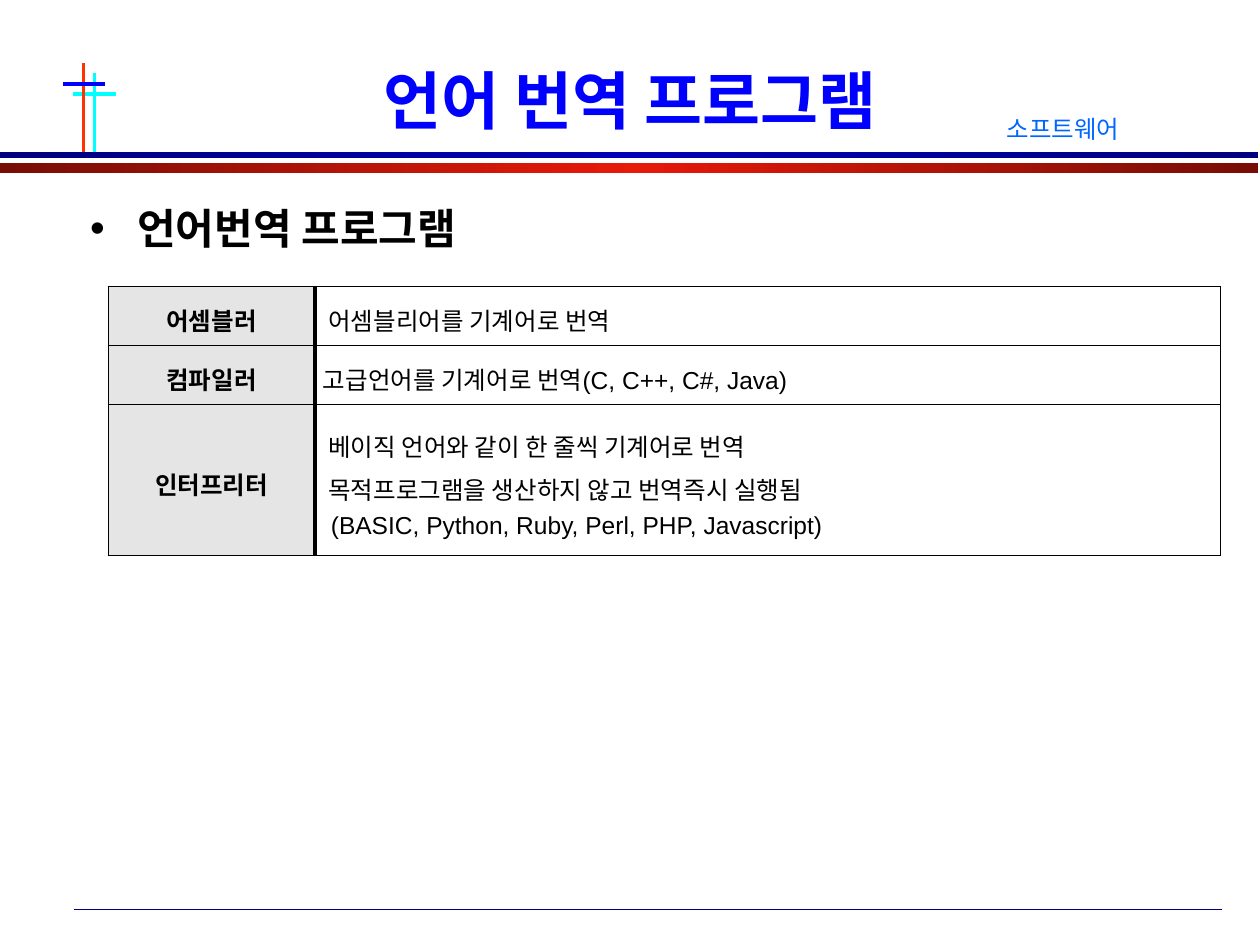
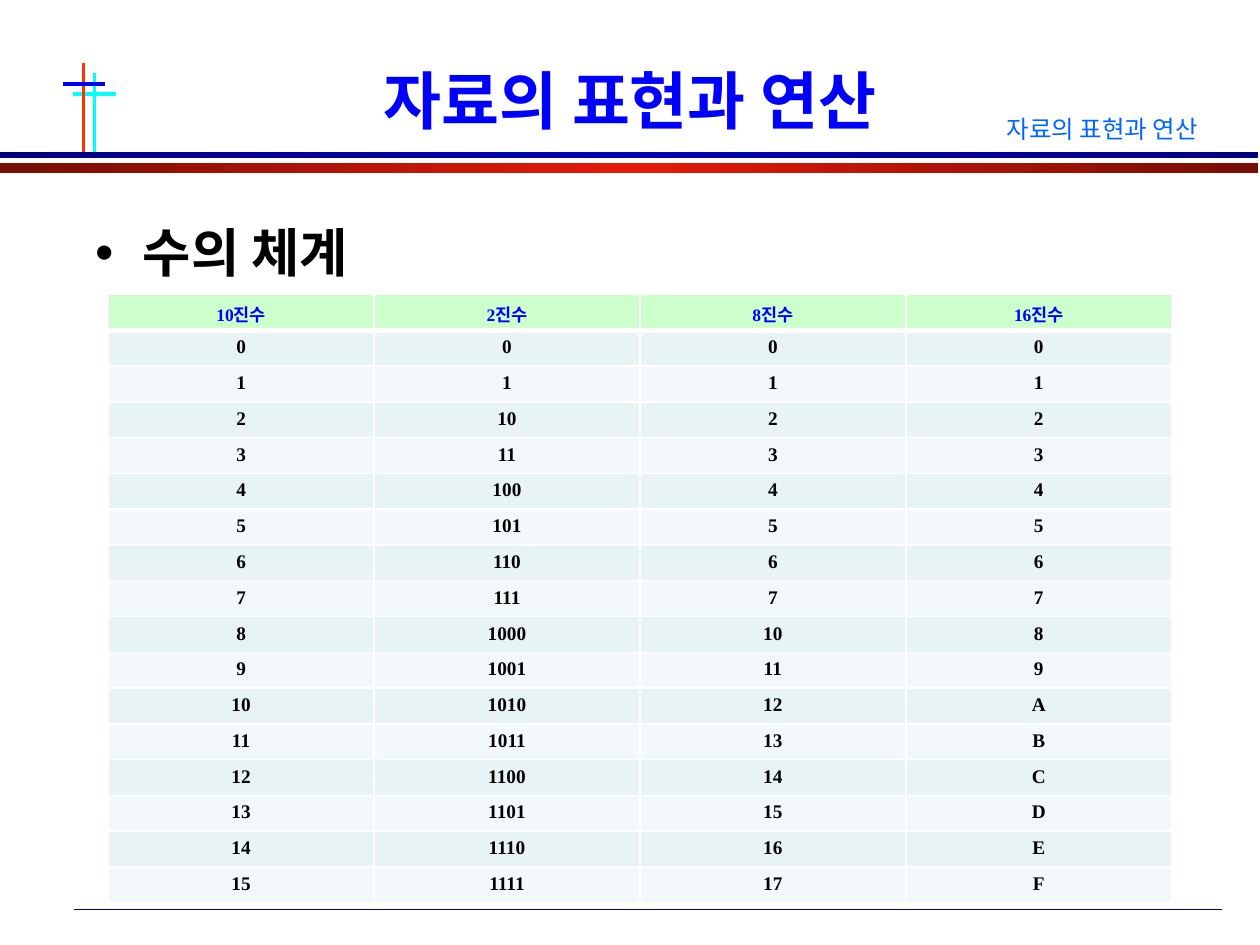
"""Build two lecture slides on language translators and number systems."""
from copy import deepcopy
from dataclasses import dataclass

from lxml.etree import SubElement
from pptx import Presentation
from pptx.dml.color import RGBColor
from pptx.enum.shapes import MSO_CONNECTOR, MSO_SHAPE
from pptx.enum.text import MSO_ANCHOR, MSO_AUTO_SIZE, PP_ALIGN
from pptx.oxml.ns import qn
from pptx.util import Cm, Pt

HUES = {
    "blue": "0000FF", "cyan": "00FFFF", "orange": "FF3300", "navy": "000080",
    "sky": "0066FF", "black": "000000", "white": "FFFFFF", "gray": "E5E5E5",
    "mint": "CCFFCC", "teal": "E7F3F4", "pale": "F3F9FA",
    "dark blue": "00007F", "mid blue": "0000B6",
    "dark red": "770D05", "mid red": "E71909",
}
SERIF, SANS, HANGUL = "Times New Roman", "Arial", "Noto Sans CJK KR"


@dataclass(frozen=True)
class Rule:
    x1: float
    y1: float
    x2: float
    y2: float
    hue: str
    width: float


@dataclass(frozen=True)
class Band:
    top: float
    height: float
    edge: str
    middle: str


@dataclass(frozen=True)
class Style:
    size: float
    font: str
    hue: str
    bold: bool = False


@dataclass(frozen=True)
class Border:
    hue: str
    left: float
    right: float
    top: float
    bottom: float


@dataclass(frozen=True)
class Box:
    left: float
    top: float
    width: float
    height: float

    def place(self) -> tuple:
        """Return the four lengths of the box."""
        return Cm(self.left), Cm(self.top), Cm(self.width), Cm(self.height)


RULES = [
    Rule(1.5, 18.34, 24.64, 18.34, "navy", 0.75),
    Rule(1.47, 1.9, 2.34, 1.9, "cyan", 2),
    Rule(1.9, 1.47, 1.9, 3.18, "cyan", 1.75),
    Rule(1.69, 1.27, 1.69, 3.12, "orange", 1.75),
    Rule(1.27, 1.69, 2.11, 1.69, "blue", 2),
]
BANDS = [
    Band(3.07, 0.12, "dark blue", "mid blue"),
    Band(3.28, 0.2, "dark red", "mid red"),
]
TITLE = Style(36, SERIF, "blue", True)
LABEL = Style(14, HANGUL, "sky")
TOOLS = [
    ("어셈블러", 1.19, [("어셈블리어를 기계어로 번역", 0.22)]),
    ("컴파일러", 1.19, [("고급언어를 기계어로 번역(C, C++, C#, Java)", 0.11)]),
    ("인터프리터", 3.05, [
        ("베이직 언어와 같이 한 줄씩 기계어로 번역", 0.22),
        ("목적프로그램을 생산하지 않고 번역즉시 실행됨", 0.22),
        ("(BASIC, Python, Ruby, Perl, PHP, Javascript)", 0.27),
    ]),
]
BASES = {"10진수": "d", "2진수": "b", "8진수": "o", "16진수": "X"}


def paint(hue: str) -> RGBColor:
    """Return the named colour."""
    return RGBColor.from_string(HUES[hue])


def write(para, text: str, style: Style) -> None:
    """Add one styled run to a paragraph."""
    run = para.add_run()
    run.text = text
    font = run.font
    font.size, font.bold, font.name = Pt(style.size), style.bold, style.font
    font.color.rgb = paint(style.hue)
    SubElement(run._r.get_or_add_rPr(), qn("a:ea"), typeface=HANGUL)


def draw_rule(slide, rule: Rule) -> None:
    """Draw a straight line."""
    line = slide.shapes.add_connector(
        MSO_CONNECTOR.STRAIGHT, Cm(rule.x1), Cm(rule.y1), Cm(rule.x2), Cm(rule.y2))
    line.line.color.rgb = paint(rule.hue)
    line.line.width = Pt(rule.width)
    SubElement(line._element.spPr, qn("a:effectLst"))


def draw_band(slide, band: Band) -> None:
    """Draw a full-width band that is brightest in the middle."""
    box = Box(0, band.top, 25.37, band.height)
    shape = slide.shapes.add_shape(MSO_SHAPE.RECTANGLE, *box.place())
    shape.shadow.inherit = False
    shape.line.fill.background()
    shape.fill.gradient()
    shape.fill.gradient_angle = 0
    for stop, hue, spot in zip(
            shape.fill.gradient_stops, (band.edge, band.middle), (0, 0.5)):
        stop.color.rgb = paint(hue)
        stop.position = spot
    stops = shape._element.spPr.find(".//" + qn("a:gsLst"))
    last = deepcopy(stops[0])
    last.set("pos", "100000")
    stops.append(last)


def start_slide(deck, title: str, label: str):
    """Add a slide with the shared frame, title and corner label."""
    slide = deck.slides.add_slide(deck.slide_layouts[5])
    for rule in RULES:
        draw_rule(slide, rule)
    for band in BANDS:
        draw_band(slide, band)
    head = slide.shapes.title
    head.left, head.top, head.width, head.height = Box(3.91, 1.27, 17.58, 1.47).place()
    frame = head.text_frame
    frame.auto_size = MSO_AUTO_SIZE.NONE
    frame.vertical_anchor = MSO_ANCHOR.MIDDLE
    frame.paragraphs[0].alignment = PP_ALIGN.CENTER
    write(frame.paragraphs[0], title, TITLE)
    corner = slide.shapes.add_textbox(*Box(20.04, 2.18, 5.16, 0.86).place()).text_frame
    corner.word_wrap = True
    corner.auto_size = MSO_AUTO_SIZE.SHAPE_TO_FIT_TEXT
    write(corner.paragraphs[0], label, LABEL)
    return slide


def add_point(slide, box: Box, text: str, style: Style, space: float) -> None:
    """Add a bulleted heading."""
    frame = slide.shapes.add_textbox(*box.place()).text_frame
    frame.word_wrap = True
    para = frame.paragraphs[0]
    props = para._p.get_or_add_pPr()
    props.set("marL", str(Cm(0.95)))
    props.set("indent", str(Cm(-0.95)))
    tint = SubElement(props, qn("a:buClr"))
    SubElement(tint, qn("a:srgbClr"), val=HUES["black"])
    SubElement(props, qn("a:buFont"), typeface=SANS)
    SubElement(props, qn("a:buChar"), char="•")
    para.line_spacing = space
    write(para, text, style)


def add_grid(slide, left: float, top: float, cols: list[float], rows: list[float]):
    """Add a table with the given column widths and row heights."""
    box = Box(left, top, sum(cols), sum(rows))
    grid = slide.shapes.add_table(len(rows), len(cols), *box.place()).table
    for col, width in zip(grid.columns, cols):
        col.width = Cm(width)
    for row, height in zip(grid.rows, rows):
        row.height = Cm(height)
    return grid


def dress(cell, border: Border, fill: str | None) -> None:
    """Set the borders and the fill of a cell."""
    props = cell._tc.get_or_add_tcPr()
    sides = {"L": border.left, "R": border.right, "T": border.top, "B": border.bottom}
    for side, width in sides.items():
        line = SubElement(props, qn(f"a:ln{side}"), w=str(Pt(width)))
        solid = SubElement(line, qn("a:solidFill"))
        SubElement(solid, qn("a:srgbClr"), val=HUES[border.hue])
    if fill:
        cell.fill.solid()
        cell.fill.fore_color.rgb = paint(fill)
    else:
        cell.fill.background()


def fill_cell(cell, lines: list[tuple[str, float]], style: Style,
              align: PP_ALIGN, space: float | None = None) -> None:
    """Write lines of text, each with its indent, into a cell."""
    frame = cell.text_frame
    for i, (text, indent) in enumerate(lines):
        para = frame.add_paragraph() if i else frame.paragraphs[0]
        para.alignment = align
        if space:
            para.line_spacing = space
        if indent:
            para._p.get_or_add_pPr().set("marL", str(Cm(indent)))
        write(para, text, style)


def build_tools(deck) -> None:
    """Build the slide on translator programs."""
    slide = start_slide(deck, "언어 번역 프로그램", "소프트웨어")
    add_point(slide, Box(1.57, 3.96, 23.22, 14.1), "언어번역 프로그램",
              Style(24, HANGUL, "black", True), 1.0)
    grid = add_grid(slide, 2.18, 5.77, [4.17, 18.26], [tool[1] for tool in TOOLS])
    for r, (name, _, lines) in enumerate(TOOLS):
        key, note = grid.cell(r, 0), grid.cell(r, 1)
        for cell in (key, note):
            cell.vertical_anchor = MSO_ANCHOR.MIDDLE
            cell.margin_left = cell.margin_right = Cm(0.05)
            cell.margin_top = cell.margin_bottom = Cm(0.05)
        dress(key, Border("black", 0.75, 1.98, 0.75, 0.75), "gray")
        dress(note, Border("black", 1.98, 0.75, 0.75, 0.75), None)
        fill_cell(key, [(name, 0)], Style(14, SANS, "black", True), PP_ALIGN.CENTER, 1.2)
        fill_cell(note, lines, Style(14, SANS, "black"), PP_ALIGN.JUSTIFY, 1.2)


def build_bases(deck) -> None:
    """Build the slide on number systems."""
    slide = start_slide(deck, "자료의 표현과 연산", "자료의 표현과 연산")
    add_point(slide, Box(1.68, 4.45, 22.23, 13.08), "수의 체계",
              Style(30, SERIF, "black", True), 0.9)
    rows = [list(BASES)] + [[format(n, code) for code in BASES.values()] for n in range(16)]
    grid = add_grid(slide, 2.18, 5.94, [5.36] * len(BASES), [0.72] * len(rows))
    for r, row in enumerate(rows):
        fill = ("teal" if r % 2 else "pale") if r else "mint"
        style = Style(11, SERIF, "black", True) if r else Style(10, SERIF, "blue", True)
        border = Border("white", 1, 1, 3 if r == 1 else 1, 1 if r else 3)
        for c, text in enumerate(row):
            dress(grid.cell(r, c), border, fill)
            fill_cell(grid.cell(r, c), [(text, 0)], style, PP_ALIGN.CENTER)


def main() -> None:
    """Build and save the deck."""
    deck = Presentation()
    deck.slide_width, deck.slide_height = Cm(25.4), Cm(19.05)
    build_tools(deck)
    build_bases(deck)
    deck.save("out.pptx")


if __name__ == "__main__":
    main()
